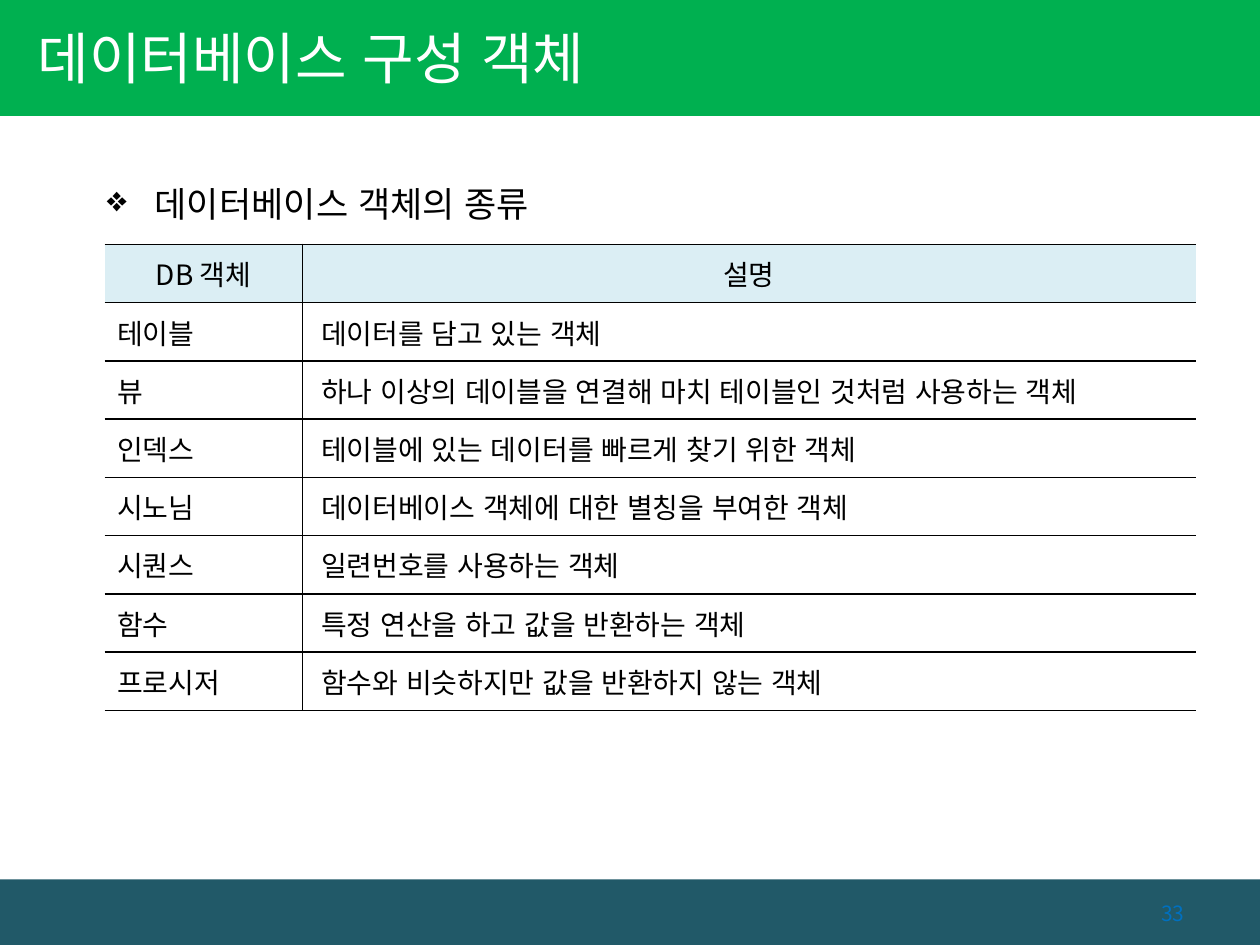
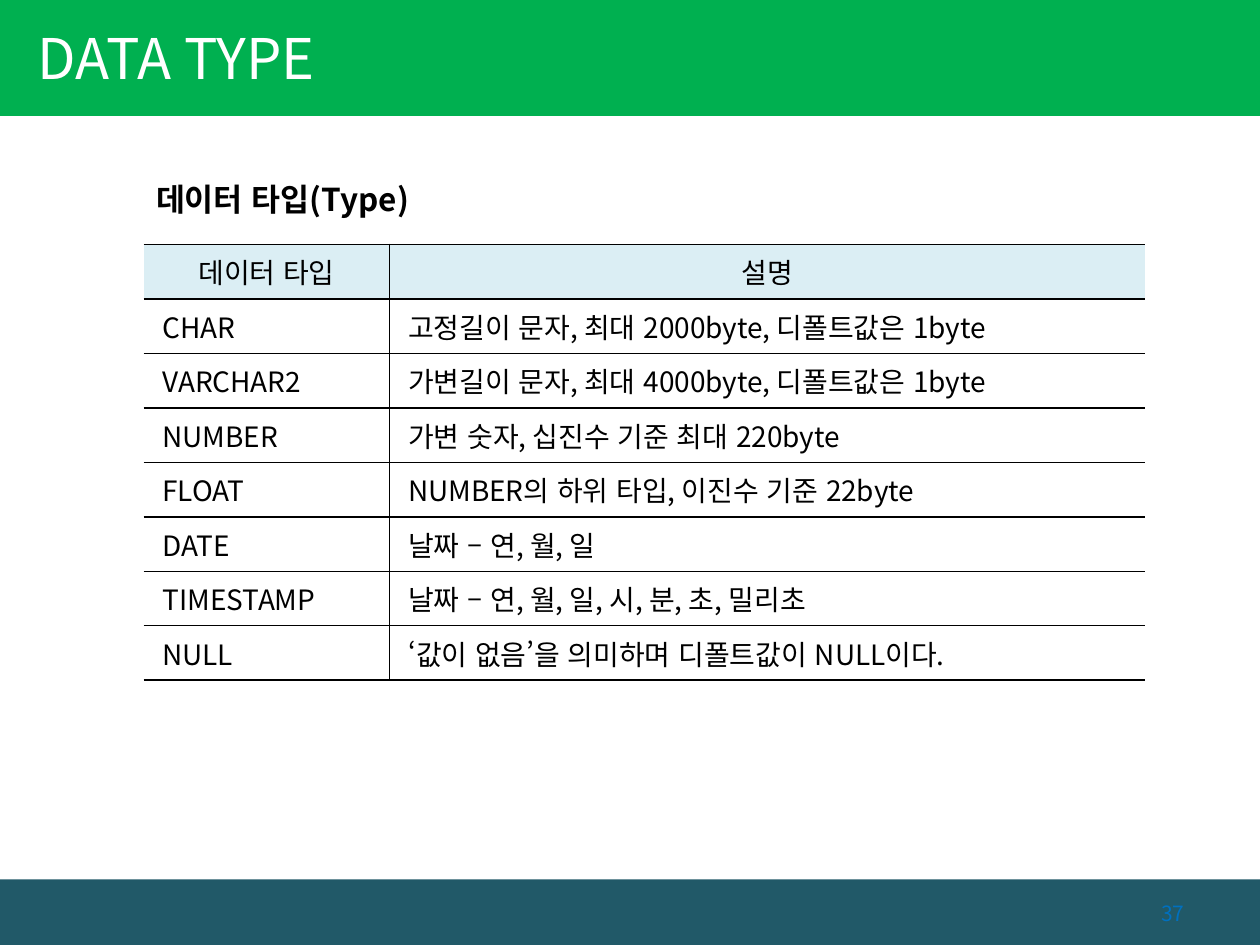
from dataclasses import dataclass

from lxml import etree
from pptx import Presentation
from pptx.dml.color import RGBColor
from pptx.enum.shapes import MSO_SHAPE
from pptx.enum.text import MSO_ANCHOR, PP_ALIGN
from pptx.oxml.ns import qn
from pptx.util import Inches, Pt

RECTANGLE = MSO_SHAPE.RECTANGLE
TOP, MIDDLE = MSO_ANCHOR.TOP, MSO_ANCHOR.MIDDLE
LEFT, CENTER, RIGHT = PP_ALIGN.LEFT, PP_ALIGN.CENTER, PP_ALIGN.RIGHT


@dataclass(frozen=True)
class Theme:
    font: str = "Noto Sans CJK KR"
    language: str = "ko-KR"
    title_band: str = "00B050"
    footer_band: str = "215968"
    number: str = "0070C0"
    white: str = "FFFFFF"
    ink: str = "000000"
    header_fill: str = "DBEEF4"
    title_size: int = 32
    bullet_size: int = 20
    heading_size: int = 18
    table_size: int = 16
    number_size: int = 12
    rule_width: int = 1


THEME = Theme()


def style_paragraph(paragraph, size, color, align=LEFT, bold=False):
    paragraph.alignment = align
    font = paragraph.font
    font.size, font.bold = Pt(size), bold
    font.color.rgb = RGBColor.from_string(color)
    font.name = THEME.font
    defaults = paragraph._p.pPr.find(qn("a:defRPr"))
    etree.SubElement(defaults, qn("a:ea"), typeface=THEME.font)
    for run in paragraph.runs:
        run._r.get_or_add_rPr().set("lang", THEME.language)


def add_text(slide, box, text, anchor=TOP, inset=0.1):
    frame = slide.shapes.add_textbox(*map(Inches, box)).text_frame
    frame.word_wrap = True
    frame.vertical_anchor = anchor
    frame.margin_left = Inches(inset)
    paragraph = frame.paragraphs[0]
    paragraph.text = text
    return paragraph


def add_band(slide, box, fill):
    band = slide.shapes.add_shape(RECTANGLE, *map(Inches, box))
    band.shadow.inherit = False
    band.fill.solid()
    band.fill.fore_color.rgb = RGBColor.from_string(fill)
    band.line.fill.background()


def add_footer(slide, box, number):
    left, top, width, height = box
    add_band(slide, box, THEME.footer_band)
    number_box = (left + width - 1.5, top + 0.07, 1, 0.4)
    page_number = add_text(slide, number_box, number, MIDDLE)
    style_paragraph(page_number, THEME.number_size, THEME.number, RIGHT)


def add_title(slide, box, text):
    left, top, width, height = box
    add_band(slide, box, THEME.title_band)
    title_box = (left, top - 0.02, 6.26, height + 0.02)
    title = add_text(slide, title_box, text, MIDDLE, inset=0.3)
    style_paragraph(title, THEME.title_size, THEME.white)


def add_heading(slide, box, text, bulleted):
    size = THEME.bullet_size if bulleted else THEME.heading_size
    heading = add_text(slide, box, text)
    heading.line_spacing = 1.5
    heading.space_before = Pt(size * 0.2)
    if bulleted:
        properties = heading._p.get_or_add_pPr()
        properties.set("marL", str(Inches(0.38)))
        properties.set("indent", str(Inches(-0.38)))
        etree.SubElement(properties, qn("a:buChar"), char="❖")
    style_paragraph(heading, size, THEME.ink, bold=not bulleted)


def set_borders(cell, ruled_sides):
    properties = cell._tc.get_or_add_tcPr()
    for side in "LRTB":
        border = etree.SubElement(properties, qn(f"a:ln{side}"), w=str(Pt(THEME.rule_width)))
        if side in ruled_sides:
            fill = etree.SubElement(border, qn("a:solidFill"))
            etree.SubElement(fill, qn("a:srgbClr"), val=THEME.ink)
        else:
            etree.SubElement(border, qn("a:noFill"))


def add_definitions(slide, box, rows, name_width, name_inset):
    left, top, width, height = map(Inches, box)
    table = slide.shapes.add_table(len(rows), 2, left, top, width, height).table
    table.first_row = table.horz_banding = False
    table.columns[0].width = Inches(name_width)
    table.columns[1].width = width - Inches(name_width)
    for row_index, row in enumerate(rows):
        is_header = row_index == 0
        for column, text in enumerate(row):
            cell = table.cell(row_index, column)
            cell.text = text
            cell.vertical_anchor = MIDDLE
            body_inset = (name_inset, 0.15)[column]
            cell.margin_left = Inches(0.1 if is_header else body_inset)
            set_borders(cell, ("RTB", "LTB")[column])
            if is_header:
                cell.fill.solid()
                cell.fill.fore_color.rgb = RGBColor.from_string(THEME.header_fill)
            else:
                cell.fill.background()
            style_paragraph(cell.text_frame.paragraphs[0], THEME.table_size,
                            THEME.ink, CENTER if is_header else LEFT)


def add_definition_slide(deck, title, number, heading, heading_box, bulleted,
                         table_box, rows, name_width, name_inset):
    slide = deck.slides.add_slide(deck.slide_layouts[6])
    add_footer(slide, (0, 6.98, 10, 0.52), number)
    add_title(slide, (0, 0, 10, 0.92), title)
    add_heading(slide, heading_box, heading, bulleted)
    add_definitions(slide, table_box, rows, name_width, name_inset)


DATABASE_OBJECTS = [
    ("DB 객체", "설명"),
    ("테이블", "데이터를 담고 있는 객체"),
    ("뷰", "하나 이상의 데이블을 연결해 마치 테이블인 것처럼 사용하는 객체"),
    ("인덱스", "테이블에 있는 데이터를 빠르게 찾기 위한 객체"),
    ("시노님", "데이터베이스 객체에 대한 별칭을 부여한 객체"),
    ("시퀀스", "일련번호를 사용하는 객체"),
    ("함수", "특정 연산을 하고 값을 반환하는 객체"),
    ("프로시저", "함수와 비슷하지만 값을 반환하지 않는 객체"),
]

DATA_TYPES = [
    ("데이터 타입", "설명"),
    ("CHAR", "고정길이 문자, 최대 2000byte, 디폴트값은 1byte"),
    ("VARCHAR2", "가변길이 문자, 최대 4000byte, 디폴트값은 1byte"),
    ("NUMBER", "가변 숫자, 십진수 기준 최대 220byte"),
    ("FLOAT", "NUMBER의 하위 타입, 이진수 기준 22byte"),
    ("DATE", "날짜 – 연, 월, 일"),
    ("TIMESTAMP", "날짜 – 연, 월, 일, 시, 분, 초, 밀리초"),
    ("NULL", "‘값이 없음’을 의미하며 디폴트값이 NULL이다."),
]


def main():
    deck = Presentation()
    deck.slide_width, deck.slide_height = Inches(10), Inches(7.5)
    add_definition_slide(
        deck, "데이터베이스 구성 객체", "33",
        "데이터베이스 객체의 종류", (0.75, 1.23, 4.09, 0.55), True,
        (0.83, 1.94, 8.66, 3.7), DATABASE_OBJECTS, name_width=1.57, name_inset=0.1)
    add_definition_slide(
        deck, "DATA TYPE", "37",
        "데이터 타입(Type)", (1.14, 1.23, 2.76, 0.55), False,
        (1.14, 1.94, 7.95, 3.46), DATA_TYPES, name_width=1.95, name_inset=0.15)
    deck.save("out.pptx")


if __name__ == "__main__":
    main()
